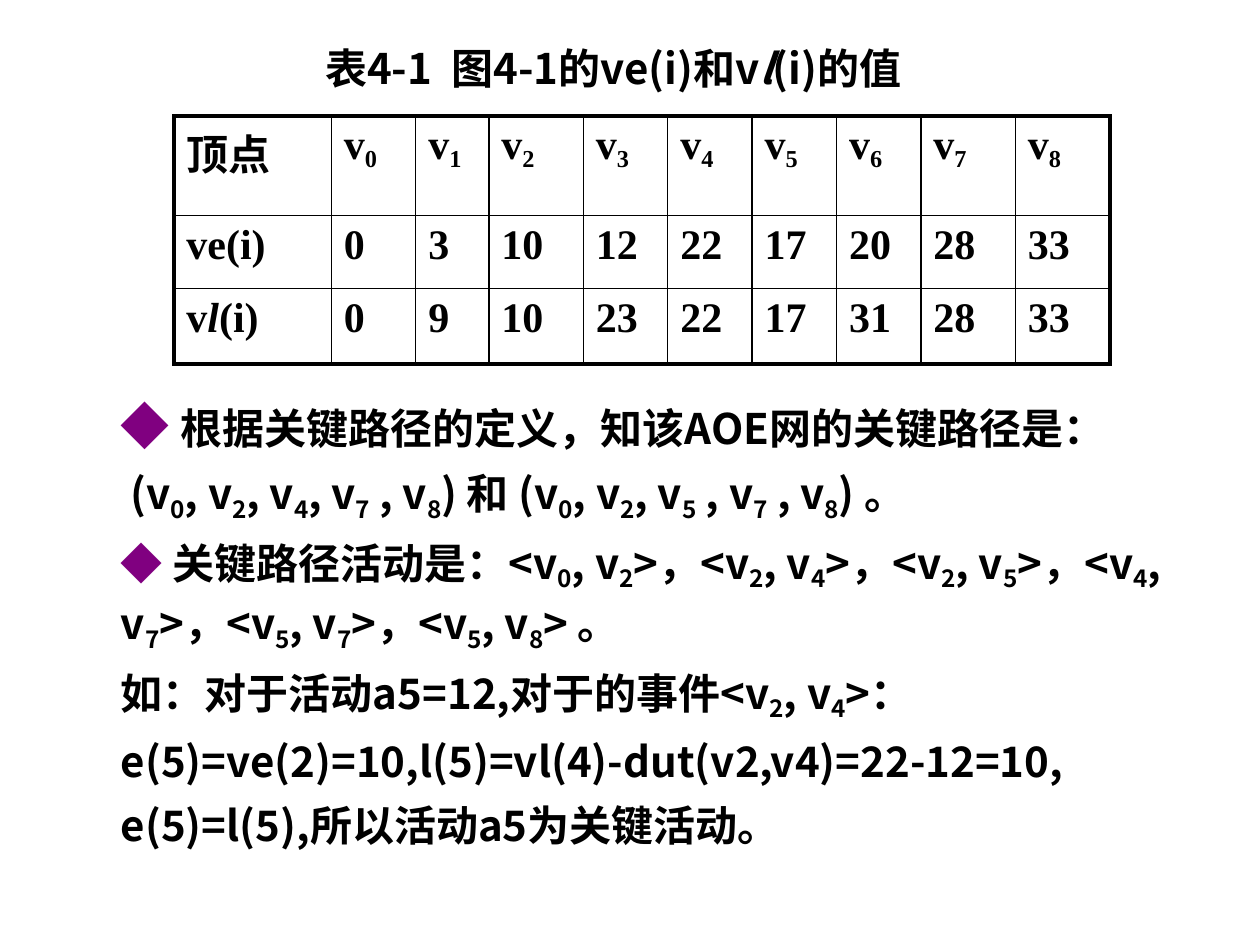
from lxml import etree
from pptx import Presentation
from pptx import util as u
from pptx.dml.color import RGBColor
from pptx.enum import text
from pptx.oxml.ns import qn

BLACK = RGBColor(0, 0, 0)
PURPLE = RGBColor(0x80, 0, 0x80)
SANS, SERIF, LATIN = "Noto Sans CJK SC", "Times New Roman", "Calibri"

COLS = [1.25, 0.67, 0.58, 0.75, 0.67, 0.67, 0.67, 0.67, 0.75, 0.75]
ROWS = [0.79, 0.58, 0.6]
VE = [0, 3, 10, 12, 22, 17, 20, 28, 33]
VL = [0, 9, 10, 23, 22, 17, 31, 28, 33]
BODY = [
    [("◆ ", PURPLE, 28, LATIN), ("根据关键路径的定义，知该AOE网的关键路径是：",)],
    [(" (v_0, v_2, v_4, v_7 , v_8) 和 (v_0, v_2, v_5 , v_7 , v_8) 。",)],
    [("◆", PURPLE), (" 关键路径活动是：<v_0, v_2>，<v_2, v_4>，<v_2, v_5>，"
                     "<v_4, v_7>，<v_5, v_7>，<v_5, v_8> 。",)],
    [("如：对于活动a5=12,对于的事件<v_2, v_4>：",)],
    [("e(5)=ve(2)=10,l(5)=vl(4)-dut(v2,v4)=22-12=10,",)],
    [("e(5)=l(5),所以活动a5为关键活动。",)],
]


def add_run(p, content, color=BLACK, size=24, font=SANS, italic=False):
    """Append one bold run, with the same face for East Asian text."""
    r = p.add_run()
    r.text = content
    f = r.font
    f.name, f.size, f.bold, f.italic = font, u.Pt(size), True, italic
    f.color.rgb = color
    ea = etree.Element(qn("a:ea"), typeface=SANS if font == LATIN else font)
    r.font._element.find(qn("a:latin")).addnext(ea)
    return r


def add_marked(p, content, *style, drop=-20):
    """Append text in which the character after each underscore is a subscript."""
    first, *rest = content.split("_")
    add_run(p, first, *style)
    for piece in rest:
        sub = add_run(p, piece[0], *style)
        sub.font._element.set("baseline", str(drop * 1000))
        if piece[1:]:
            add_run(p, piece[1:], *style)


def add_symbol_l(p, before, after, font):
    """Append text around an italic letter l."""
    add_run(p, before, font=font)
    add_run(p, "l", font=font, italic=True)
    add_run(p, after, font=font)


def place(sp, box):
    """Move a shape to a box given in inches."""
    sp.left, sp.top, sp.width, sp.height = map(u.Inches, box)


def fill_title(sp, box):
    """Write the table caption in the title placeholder."""
    place(sp, box)
    tf = sp.text_frame
    tf.word_wrap = False
    tf.auto_size = text.MSO_AUTO_SIZE.NONE
    tf.vertical_anchor = text.MSO_ANCHOR.MIDDLE
    p = tf.paragraphs[0]
    p.alignment = text.PP_ALIGN.LEFT
    add_symbol_l(p, "表4-1  图4-1的ve(i)和v", "(i)的值", SANS)


def set_borders(cell, widths):
    """Draw left, right, top and bottom borders with the given point widths."""
    tcPr = cell._tc.get_or_add_tcPr()
    for side, width in zip("LRTB", widths):
        ln = etree.SubElement(tcPr, qn("a:ln" + side), w=str(u.Pt(width)))
        fill = etree.SubElement(ln, qn("a:solidFill"))
        etree.SubElement(fill, qn("a:srgbClr"), val=str(BLACK))


def add_value_table(s, box):
    """Add the table of earliest and latest event times."""
    tbl = s.shapes.add_table(len(ROWS), len(COLS), *map(u.Inches, box)).table
    tbl.first_row = tbl.horz_banding = False
    for col, width in zip(tbl.columns, COLS):
        col.width = u.Inches(width)
    for row, height in zip(tbl.rows, ROWS):
        row.height = u.Inches(height)
    grid = [["顶点"] + [f"v_{i}" for i in range(9)], ["ve(i)"] + VE, ["vl(i)"] + VL]
    last_row, last_col = len(ROWS) - 1, len(COLS) - 1
    for i, values in enumerate(grid):
        for j, value in enumerate(values):
            cell = tbl.cell(i, j)
            outer = (j == 0, j == last_col, i == 0, i == last_row)
            set_borders(cell, [2.25 if edge else 1 for edge in outer])
            cell.fill.background()
            p = cell.text_frame.paragraphs[0]
            if (i, j) == (last_row, 0):
                add_symbol_l(p, "v", "(i)", SERIF)
            else:
                font = SANS if i == j == 0 else SERIF
                add_marked(p, str(value), BLACK, 24, font, drop=-18)


def fill_body(sp, box):
    """Write the conclusions in the body placeholder."""
    place(sp, box)
    tf = sp.text_frame
    tf.word_wrap = True
    tf.auto_size = text.MSO_AUTO_SIZE.NONE
    for i, parts in enumerate(BODY):
        p = tf.add_paragraph() if i else tf.paragraphs[0]
        p.level = 1
        p.line_spacing = 1.1
        p.space_before = u.Pt(4.8 if i else 0)
        pPr = p._p.get_or_add_pPr()
        pPr.set("marL", str(u.Inches(0.58)))
        pPr.set("indent", "0")
        etree.SubElement(pPr, qn("a:buNone"))
        for part in parts:
            add_marked(p, *part)


def main():
    """Build and save the slide."""
    prs = Presentation()
    prs.slide_width, prs.slide_height = u.Inches(10), u.Inches(7.5)
    s = prs.slides.add_slide(prs.slide_layouts[1])
    add_value_table(s, (1.38, 0.92, sum(COLS), sum(ROWS)))
    fill_title(s.shapes.title, (2.48, 0.29, 5.5, 0.49))
    fill_body(s.placeholders[1], (0.28, 3.04, 9.64, 3.43))
    prs.save("out.pptx")


if __name__ == "__main__":
    main()
